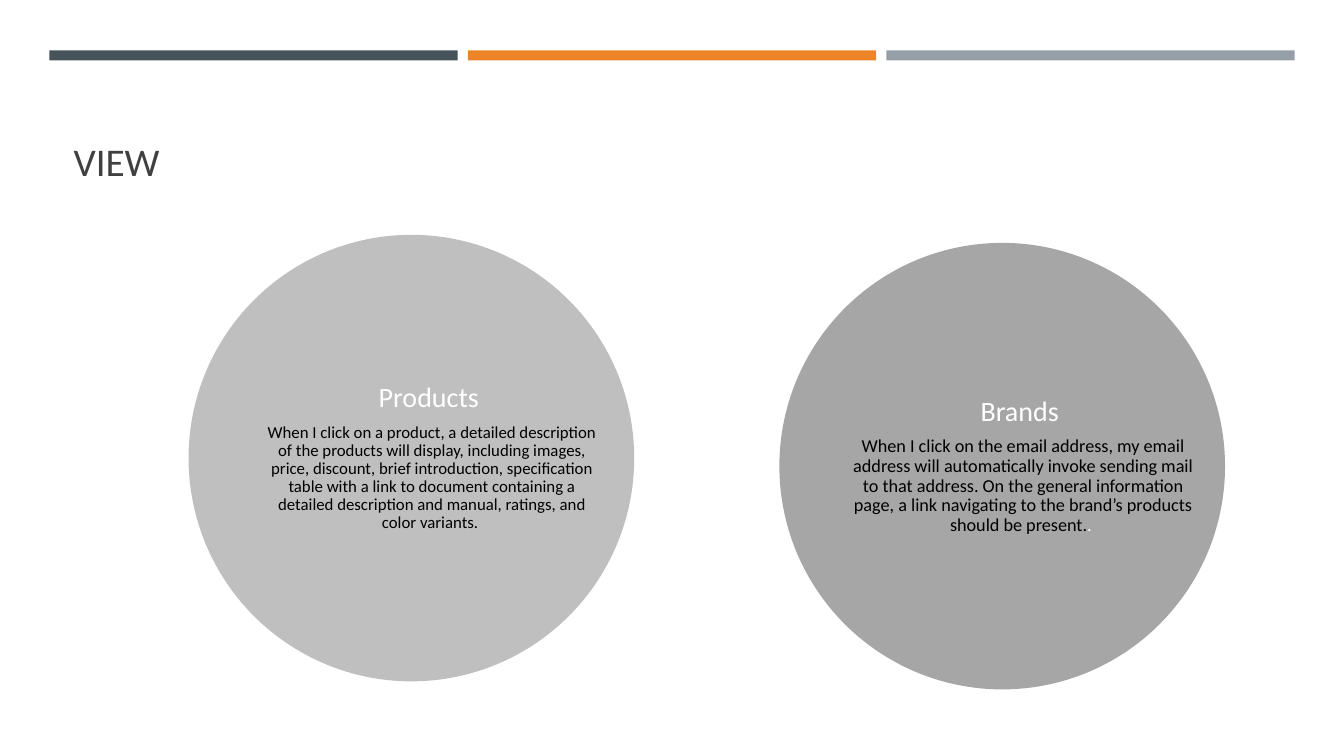
import pptx
import pptx.util
import pptx.dml.color
import pptx.enum.shapes
import pptx.enum.text

Inches = pptx.util.Inches
Pt = pptx.util.Pt
RGBColor = pptx.dml.color.RGBColor
MSO_SHAPE = pptx.enum.shapes.MSO_SHAPE
MSO_ANCHOR = pptx.enum.text.MSO_ANCHOR
PP_ALIGN = pptx.enum.text.PP_ALIGN

SLATE = RGBColor(0x46, 0x53, 0x59)
ORANGE = RGBColor(0xED, 0x84, 0x28)
STEEL = RGBColor(0x96, 0x9F, 0xA7)
LIGHT_GRAY = RGBColor(0xBF, 0xBF, 0xBF)
MID_GRAY = RGBColor(0xA6, 0xA6, 0xA6)
DARK_GRAY = RGBColor(0x40, 0x40, 0x40)
WHITE = RGBColor(0xFF, 0xFF, 0xFF)
BLACK = RGBColor(0x00, 0x00, 0x00)


def add_filled(s, kind, x, y, w, h, color):
    sp = s.shapes.add_shape(kind, Inches(x), Inches(y), Inches(w), Inches(h))
    sp.shadow.inherit = False
    sp.fill.solid()
    sp.fill.fore_color.rgb = color
    sp.line.fill.background()


def add_run(p, text, size, color):
    r = p.add_run()
    r.text = text
    r.font.name = "Calibri"
    r.font.size = Pt(size)
    r.font.color.rgb = color


prs = pptx.Presentation()
prs.slide_width = Inches(13.33)
prs.slide_height = Inches(7.5)
s = prs.slides.add_slide(prs.slide_layouts[5])

for i, color in enumerate([SLATE, ORANGE, STEEL]):
    add_filled(s, MSO_SHAPE.RECTANGLE, 0.49 + 4.15 * i, 0.5, 4.05, 0.1, color)

title = s.shapes.title
title.left, title.top = Inches(0.63), Inches(0.8)
title.width, title.height = Inches(12.06), Inches(1.08)
tf = title.text_frame
tf.vertical_anchor = MSO_ANCHOR.BOTTOM
p = tf.paragraphs[0]
p.alignment = PP_ALIGN.LEFT
add_run(p, "VIEW", 28, DARK_GRAY)

circles = [
    (1.87, 2.33, LIGHT_GRAY, "Products ", 12, [
        ("When I click on a product, a detailed description of the products "
         "will display, including images, price, discount, brief introduction, "
         "specification table with a link to document containing a detailed "
         "description and manual, ratings, and color variants. ", BLACK)]),
    (7.73, 2.41, MID_GRAY, "Brands ", 13, [
        ("When I click on the email address, my email address will "
         "automatically invoke sending mail to that address. On the general "
         "information page, a link navigating to the brand’s products should "
         "be present.", BLACK),
        (". ", WHITE)]),
]

for x, y, color, heading, size, body in circles:
    add_filled(s, MSO_SHAPE.OVAL, x, y, 4.42, 4.43, color)
    sp = s.shapes.add_textbox(Inches(x + 0.71), Inches(y), Inches(3.71), Inches(4.43))
    tf = sp.text_frame
    tf.word_wrap = True
    tf.vertical_anchor = MSO_ANCHOR.MIDDLE
    tf.margin_left, tf.margin_right = Inches(0), Inches(0.3)
    tf.margin_top = tf.margin_bottom = Inches(0.16)
    p = tf.paragraphs[0]
    add_run(p, heading, 20, WHITE)
    p.space_after = Pt(7)
    p = tf.add_paragraph()
    for text, text_color in body:
        add_run(p, text, size, text_color)
    p.space_after = Pt(4)
    for p in tf.paragraphs:
        p.alignment = PP_ALIGN.CENTER
        p.line_spacing = 0.9

prs.save("out.pptx")
